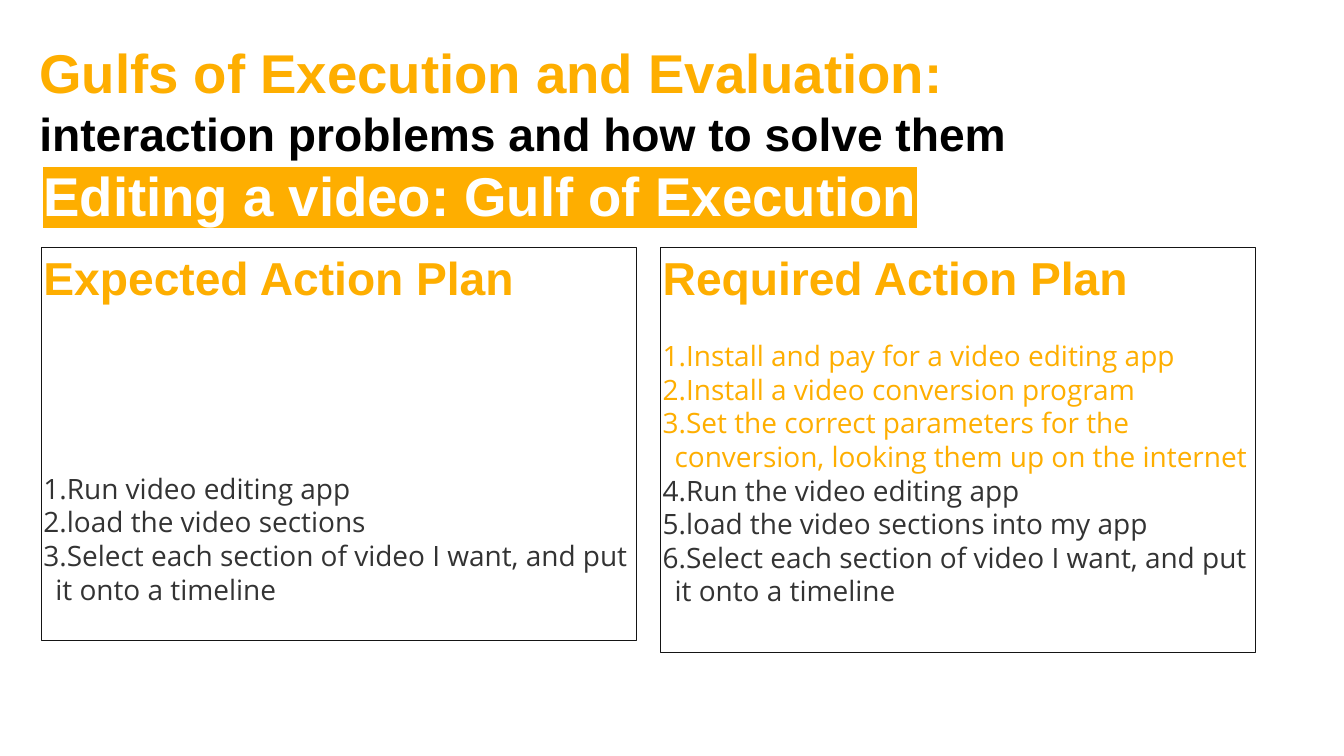
from lxml.etree import SubElement as add_element
from pptx import Presentation
from pptx.dml.color import RGBColor as Rgb
from pptx.enum.text import MSO_ANCHOR as Anchor, MSO_AUTO_SIZE as AutoSize, PP_ALIGN as Align
from pptx.oxml import parse_xml
from pptx.oxml.ns import nsdecls, qn
from pptx.util import Cm, Pt

COLORS = {"accent": "FEAE00", "black": "000000", "white": "FFFFFF",
          "body": "333333", "border": "151515"}

# Text formats
TITLE = {"name": "Arial", "size": Pt(78), "bold": True}
HEADING = {"name": "Arial", "size": Pt(66), "bold": True}
STEP = {"name": "Open Sans", "size": Pt(40), "bold": False}
LEADING = 1.2
HANGING = Cm(0.6)

# Panels: left, height, gap above the list, steps that are new, familiar steps
PANELS = [
    ("Expected Action Plan", 2.06, 19.81, 3 * 66 * LEADING, [], [
        "Run video editing app",
        "load the video sections",
        "Select each section of video I want, and put it onto a timeline"]),
    ("Required Action Plan", 33.27, 20.4, 40 * LEADING, [
        "Install and pay for a video editing app",
        "Install a video conversion program",
        "Set the correct parameters for the conversion, looking them up on the internet"], [
        "Run the video editing app",
        "load the video sections into my app",
        "Select each section of video I want, and put it onto a timeline"]),
]


def place(box, left, top, width, height):
    """Position a box and give its text frame the common layout."""
    box.left, box.top, box.width, box.height = map(Cm, (left, top, width, height))
    frame = box.text_frame
    settings = {"word_wrap": True, "auto_size": AutoSize.NONE, "vertical_anchor": Anchor.TOP}
    settings |= {f"margin_{side}": Cm(0.13) for side in ("left", "top", "right", "bottom")}
    for key, value in settings.items():
        setattr(frame, key, value)
    return frame


def write(para, text, style, color, numbered=False, before=0):
    """Fill a paragraph with one formatted span, numbered if asked."""
    props = para._p.get_or_add_pPr()
    indent = HANGING if numbered else 0
    props.set("marL", str(indent))
    props.set("indent", str(-indent))
    if numbered:
        add_element(props, qn("a:buAutoNum"), type="arabicPeriod")
    else:
        add_element(props, qn("a:buNone"))
    layout = {"alignment": Align.LEFT, "space_before": Pt(before), "space_after": Pt(0),
              "line_spacing": Pt(style["size"].pt * LEADING)}
    for key, value in layout.items():
        setattr(para, key, value)
    span = para.add_run()
    span.text = text
    for key, value in style.items():
        setattr(span.font, key, value)
    span.font.color.rgb = Rgb.from_string(COLORS[color])
    return span


def highlight(span, color):
    mark = parse_xml(f'<a:highlight {nsdecls("a")}><a:srgbClr val="{COLORS[color]}"/></a:highlight>')
    span._r.get_or_add_rPr().find(qn("a:solidFill")).addnext(mark)


def fill_panel(box, heading, left, height, gap, new_steps, known_steps):
    """Outline a panel and write its heading and numbered steps."""
    frame = place(box, left, 12.45, 30, height)
    box.line.color.rgb = Rgb.from_string(COLORS["border"])
    box.line.width = Pt(0.75)
    write(frame.paragraphs[0], heading, HEADING, "accent")
    steps = [(step, "accent") for step in new_steps] + [(step, "body") for step in known_steps]
    for number, (step, color) in enumerate(steps):
        write(frame.add_paragraph(), step, STEP, color, True, 0 if number else gap)


def main():
    deck = Presentation()
    deck.slide_width, deck.slide_height = Cm(67.74), Cm(38.1)
    page = deck.slides.add_slide(deck.slide_layouts.get_by_name("Two Content"))

    # Title
    title, *bodies = list(page.placeholders)[:3]
    frame = place(title, 1.85, 1.85, 58.27, 4.01)
    write(frame.paragraphs[0], "Gulfs of Execution and Evaluation:", TITLE, "accent")
    write(frame.add_paragraph(), "interaction problems and how to solve them", HEADING, "black")

    # Highlighted subtitle
    subtitle = page.shapes.add_textbox(0, 0, 0, 0)
    frame = place(subtitle, 2.06, 8.05, 61.04, 4.01)
    span = write(frame.paragraphs[0], "Editing a video: Gulf of Execution", TITLE, "white")
    highlight(span, "accent")

    # Action plans side by side
    for box, panel in zip(bodies, PANELS):
        fill_panel(box, *panel)

    deck.save("out.pptx")


if __name__ == "__main__":
    main()
